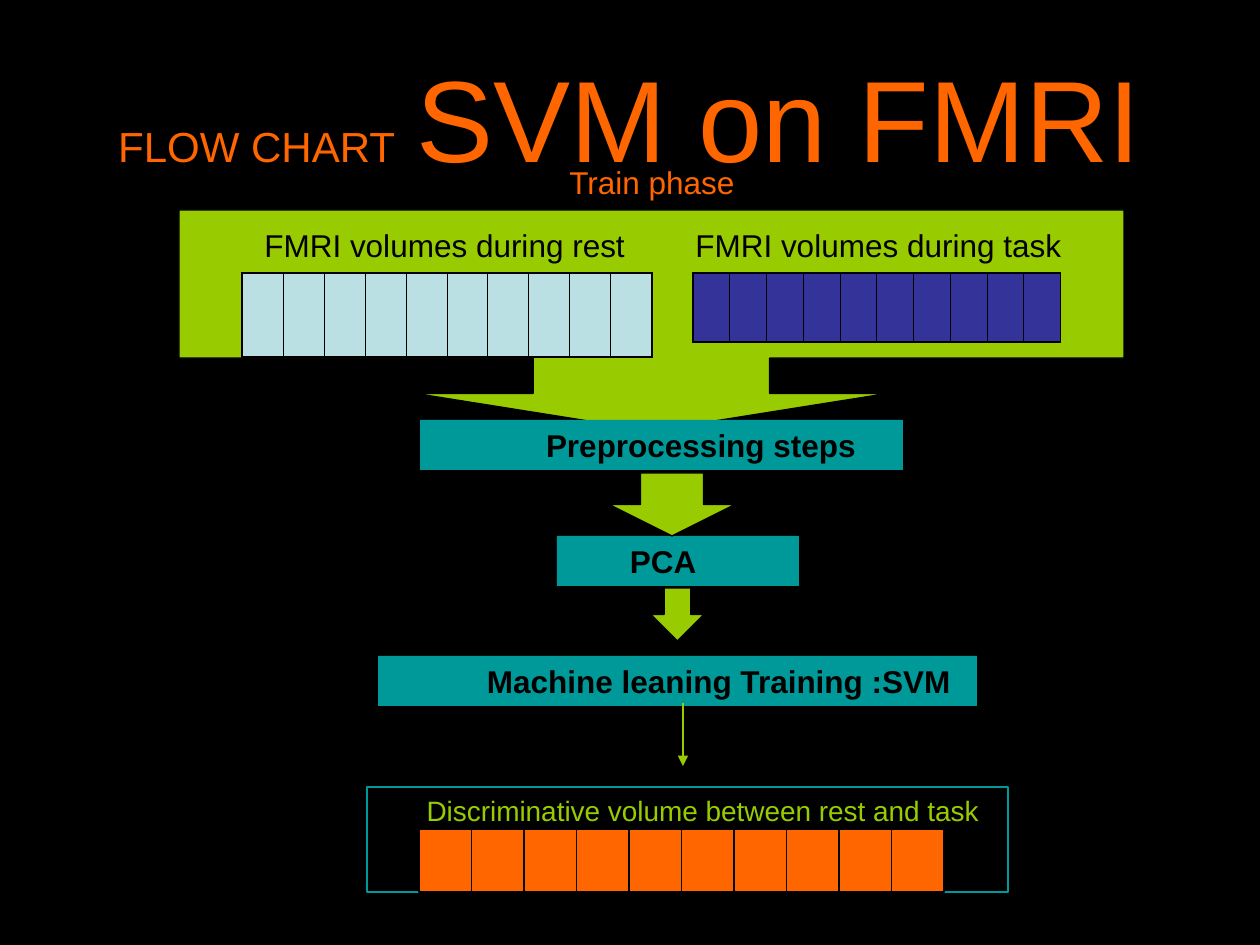
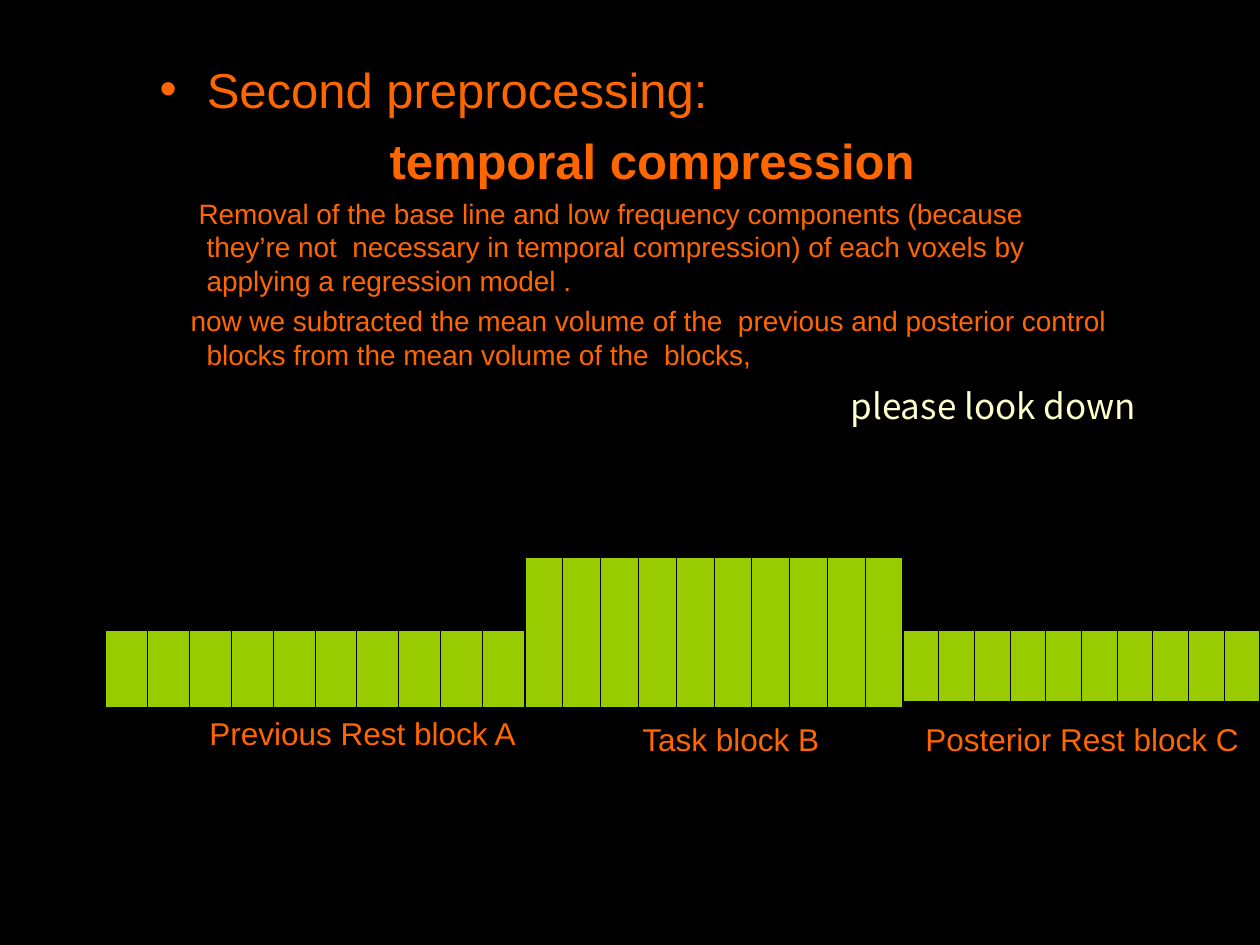
from lxml import etree
from pptx import Presentation
from pptx import util as u
from pptx.dml.color import RGBColor
from pptx.enum import shapes, text
from pptx.oxml.ns import qn

BLACK, ORANGE, GREEN, TEAL = "000000", "FF6600", "99CC00", "009999"
PALE_BLUE, INDIGO, CREAM = "BBE0E3", "333399", "FFFFCC"
VOLUMES = 10
HANG = 47


def px(length):
    return u.Emu(round(length * 914400 / 126))


def color(hex_code):
    return RGBColor.from_string(hex_code)


def place(shape, box):
    shape.left, shape.top, shape.width, shape.height = map(px, box)


def paint(shape, fill=None, line=None):
    if fill:
        shape.fill.solid()
        shape.fill.fore_color.rgb = color(fill)
    if line:
        shape.line.color.rgb = color(line)
        shape.line.width = u.Pt(0.75)
    else:
        shape.line.fill.background()


def style(para, size, ink, bold=None, font="Arial"):
    para.font.name, para.font.bold = font, bold
    para.font.size = u.Pt(size)
    para.font.color.rgb = color(ink)


def indent(para, left, first):
    """Set the left margin and first-line offset, without a bullet."""
    properties = para._p.get_or_add_pPr()
    properties.set("marL", str(px(left)))
    properties.set("indent", str(px(first)))
    etree.SubElement(properties, qn("a:buNone"))


def label(page, box, words, ink=ORANGE, size=18, font="Arial",
          align=text.PP_ALIGN.LEFT):
    frame = page.shapes.add_textbox(*map(px, box)).text_frame
    frame.word_wrap = True
    para = frame.paragraphs[0]
    para.text, para.alignment = words, align
    style(para, size, ink, font=font)


def block(page, kind, box, fill, line=None):
    shape = page.shapes.add_shape(kind, *map(px, box))
    shape.shadow.inherit = False
    paint(shape, fill, line)
    return shape


def step(page, box, words, margin):
    shape = block(page, shapes.MSO_SHAPE.RECTANGLE, box, TEAL)
    frame = shape.text_frame
    frame.margin_left = px(margin)
    frame.vertical_anchor = text.MSO_ANCHOR.TOP
    para = frame.paragraphs[0]
    para.text, para.alignment = words, text.PP_ALIGN.LEFT
    style(para, 18, BLACK, bold=True)


def line(page, x, top, bottom, ink):
    connector = page.shapes.add_connector(
        shapes.MSO_CONNECTOR.STRAIGHT, px(x), px(top), px(x), px(bottom))
    paint(connector, line=ink)
    etree.SubElement(connector._element.spPr, qn("a:effectLst"))
    return connector


def border(cell, side, points):
    edge = etree.SubElement(cell._tc.get_or_add_tcPr(), qn(f"a:ln{side}"),
                            w=str(u.Pt(points)))
    fill = etree.SubElement(edge, qn("a:solidFill"))
    etree.SubElement(fill, qn("a:srgbClr"), val=BLACK)


def volume_strip(page, box, fill):
    """Draw a row of scan volumes as a one-row table."""
    table = page.shapes.add_table(1, VOLUMES, *map(px, box)).table
    for index, column in enumerate(table.columns):
        column.width = px(box[2] / VOLUMES)
        cell = table.cell(0, index)
        cell.margin_left = cell.margin_right = 0
        border(cell, "L", 1.08 if index == 0 else 0.45)
        border(cell, "R", 1.08 if index == VOLUMES - 1 else 0.45)
        border(cell, "T", 1.08)
        border(cell, "B", 1.08)
        cell.fill.solid()
        cell.fill.fore_color.rgb = color(fill)


def flow_title(page, box):
    title = page.shapes.title
    place(title, box)
    frame = title.text_frame
    frame.auto_size = text.MSO_AUTO_SIZE.NONE
    frame.vertical_anchor = text.MSO_ANCHOR.MIDDLE
    para = frame.paragraphs[0]
    para.alignment = text.PP_ALIGN.CENTER
    style(para, 44, ORANGE)
    for words, size in (("FLOW CHART", 24), (" ", 44), ("SVM on FMRI", 66)):
        span = para.add_run()
        span.text, span.font.size = words, u.Pt(size)


def training_input(page, box):
    left, top, width, height = box
    callout = block(page, shapes.MSO_SHAPE.DOWN_ARROW_CALLOUT, box, GREEN, BLACK)
    for index, value in enumerate((1.07, 1.07, 0.17, 0.67)):
        callout.adjustments[index] = value
    label(page, (left + 378, top - 53, 252, 50), "Train phase")
    label(page, (left + 73, top + 10, 417, 50), "FMRI volumes during rest", BLACK)
    label(page, (left + 504, top + 10, 408, 50), "FMRI volumes during task", BLACK)
    volume_strip(page, (left + 63, top + 63, 410, 84), PALE_BLUE)
    volume_strip(page, (left + 514, top + 63, 368, 69), INDIGO)


def processing(page, box):
    left, top, width, height = box
    step(page, (left + 42, top, 483, 50), "Preprocessing steps", 126)
    step(page, (left + 179, top + 116, 242, 50), "PCA", 73)
    step(page, (left, top + 236, width, 50), "Machine leaning Training :SVM", 109)
    for arrow in ((left + 231, top + 53, 126, 63), (left + 273, top + 168, 53, 53)):
        block(page, shapes.MSO_SHAPE.DOWN_ARROW, arrow, GREEN, BLACK)
    outcome = line(page, left + 305, top + 283, top + height, GREEN)
    etree.SubElement(outcome.line._get_or_add_ln(), qn("a:tailEnd"), type="triangle")


def result(page, box):
    left, top, width, height = box
    body = page.placeholders[1]
    place(body, box)
    paint(body, line=TEAL)
    body.text_frame.auto_size = text.MSO_AUTO_SIZE.NONE
    para = body.text_frame.paragraphs[0]
    para.text = "Discriminative volume between rest and task"
    para.space_before = u.Pt(4)
    indent(para, HANG, 0)
    style(para, 16, GREEN)
    strip_left, strip_top, strip_width = left + 52, top + 42, 525
    block(page, shapes.MSO_SHAPE.RECTANGLE,
          (strip_left, strip_top, strip_width, 63), ORANGE, BLACK)
    for index in range(1, VOLUMES):
        line(page, strip_left + strip_width * index / VOLUMES,
             strip_top, strip_top + 74, BLACK)


def compression_text(page, box):
    body = page.placeholders[1]
    place(body, box)
    frame = body.text_frame
    frame.auto_size = text.MSO_AUTO_SIZE.NONE
    lines = (
        ("Second preprocessing:", 28, 7, False, None),
        ("temporal compression", 28, 7, True, (230, 0)),
        ("Removal of the base line and low frequency components (because "
         "they’re not  necessary in temporal compression) of each voxels by "
         "applying a regression model .", 16, 4, False, (HANG, -8)),
        ("now we subtracted the mean volume of the  previous and posterior "
         "control blocks from the mean volume of the  blocks,",
         16, 4, False, (HANG, -16)),
    )
    for index, (words, size, gap, bold, margins) in enumerate(lines):
        para = frame.add_paragraph() if index else frame.paragraphs[0]
        para.text, para.space_before = words, u.Pt(gap)
        if margins:
            indent(para, *margins)
        style(para, size, ORANGE, bold)


def block_timeline(page, box):
    left, top, width, height = box
    volume_strip(page, (left, top + 73, 420, 78), GREEN)
    volume_strip(page, (left + 420, top, 378, height), GREEN)
    volume_strip(page, (left + 798, top + 73, width - 798, 72), GREEN)
    label(page, (left + 92, top + 151, 345, 50), "Previous Rest block A")
    label(page, (left + 525, top + 157, 215, 50), "Task block B")
    label(page, (left + 808, top + 157, 347, 50), "Posterior Rest block C")


def flow_chart_slide(deck):
    page = deck.slides.add_slide(deck.slide_layouts[1])
    flow_title(page, (63, 38, 1134, 157))
    result(page, (367, 787, 641, 105))
    training_input(page, (179, 210, 945, 221))
    processing(page, (378, 420, 599, 346))


def compression_slide(deck):
    page = deck.slides.add_slide(deck.slide_layouts[1])
    title = page.shapes.title._element
    title.getparent().remove(title)
    compression_text(page, (147, 53, 977, 346))
    label(page, (727, 378, 533, 111), "please look down", CREAM, 20,
          "Noto Sans CJK SC", text.PP_ALIGN.CENTER)
    block_timeline(page, (105, 557, 1155, 151))


def main():
    deck = Presentation()
    deck.slide_width, deck.slide_height = px(1260), px(945)
    background = deck.slide_master.background.fill
    background.solid()
    background.fore_color.rgb = color(BLACK)
    flow_chart_slide(deck)
    compression_slide(deck)
    deck.save("out.pptx")


if __name__ == "__main__":
    main()
